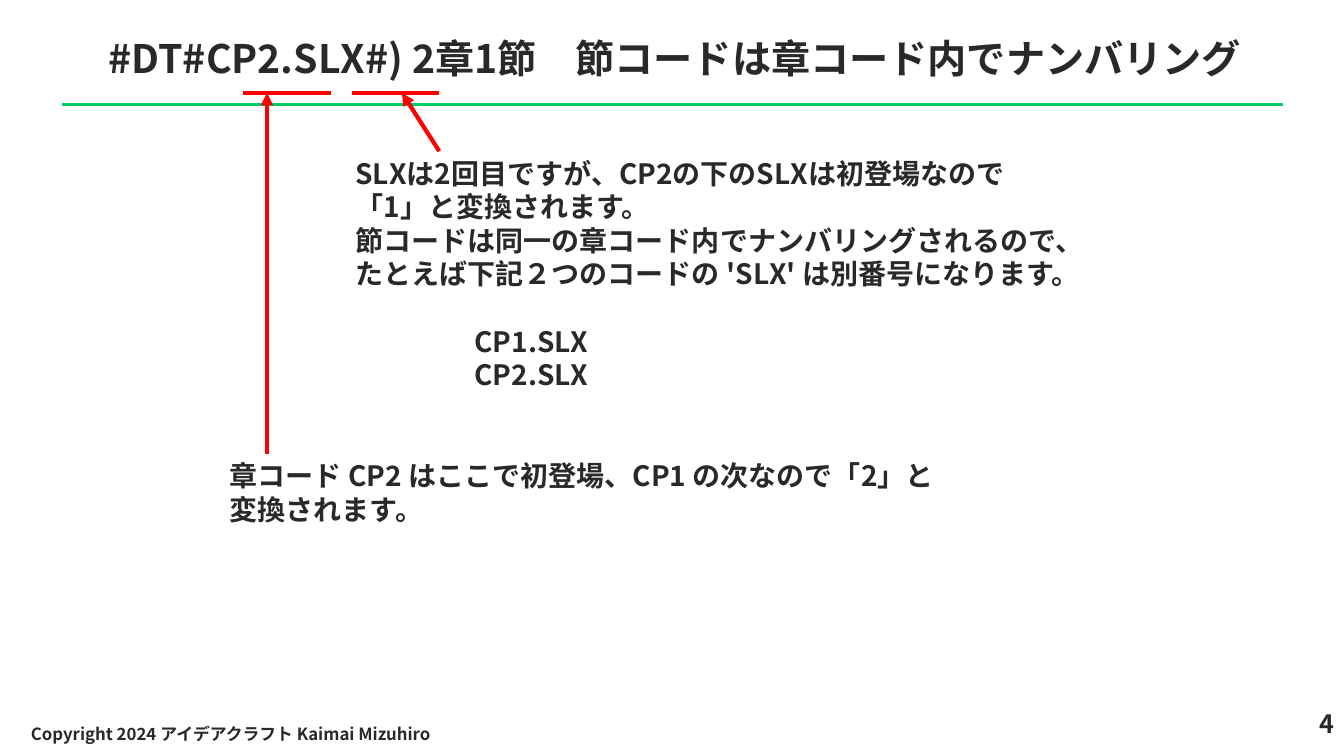
import pptx
import pptx.util
import pptx.dml.color
import pptx.enum.shapes
import pptx.enum.text
import pptx.oxml.ns
from lxml import etree

Cm, Pt = pptx.util.Cm, pptx.util.Pt
qn = pptx.oxml.ns.qn
ALIGN = pptx.enum.text.PP_ALIGN
ANCHOR = pptx.enum.text.MSO_ANCHOR

FONT = "Noto Sans CJK JP"
INK, GREEN, RED = "292929", "00CC66", "FF0000"
SLIDE_W, SLIDE_H = 33.87, 19.05
CODE_INDENT = 3


def color(value):
    return pptx.dml.color.RGBColor.from_string(value)


def add_line(s, start, end, hex_color, width, arrow=False):
    line = s.shapes.add_connector(
        pptx.enum.shapes.MSO_CONNECTOR.STRAIGHT,
        Cm(start[0]), Cm(start[1]), Cm(end[0]), Cm(end[1]))
    line.line.color.rgb = color(hex_color)
    line.line.width = Pt(width)
    if arrow:
        etree.SubElement(line.line._get_or_add_ln(), qn("a:tailEnd"), type="triangle")
    etree.SubElement(line._element.spPr, qn("a:effectLst"))


def style_paragraph(p, size, align):
    p.alignment = align
    p.line_spacing = Pt(size * 1.2)
    p.font.size = Pt(size)
    p.font.bold = True
    p.font.color.rgb = color(INK)
    p.font.name = FONT
    defaults = p._p.get_or_add_pPr().find(qn("a:defRPr"))
    etree.SubElement(defaults, qn("a:ea"), typeface=FONT)


def add_text(s, box, lines, size, align=ALIGN.LEFT, anchor=ANCHOR.TOP):
    """Add a text box with one paragraph per line and return its paragraphs."""
    tf = s.shapes.add_textbox(*map(Cm, box)).text_frame
    tf.word_wrap = True
    tf.vertical_anchor = anchor
    tf.text = "\n".join(lines)
    for p in tf.paragraphs:
        style_paragraph(p, size, align)
    return tf.paragraphs


def add_header(s, x, y, w, h):
    """Title with a green rule along the bottom of the box."""
    add_line(s, (x, y + h), (x + w, y + h), GREEN, 2.25)
    add_text(s, (x + 0.94, y, 30.43, 1.8),
             ["#DT#CP2.SLX#) 2章1節　節コードは章コード内でナンバリング"], 28)


def add_callout(s, x, y, w, h, lines, bar_x, bar_y, tail_x, tip_x):
    """Note whose arrow points up to a bar under part of the title."""
    add_line(s, (bar_x, bar_y), (bar_x + 2.21, bar_y), RED, 3)
    add_line(s, (tail_x, y), (tip_x, bar_y), RED, 3, arrow=True)
    return add_text(s, (x, y, w, h), lines, 20)


def add_notes(s, x, y, w, bar_y):
    """Chapter note and section note, with example codes in the latter."""
    add_callout(
        s, x, y + 7.62, w, 1.96,
        ["章コード CP2 はここで初登場、CP1 の次なので「2」と変換されます。"],
        bar_x=x + 0.58, bar_y=bar_y, tail_x=x + 1.19, tip_x=x + 1.19)
    paragraphs = add_callout(
        s, x + 3.17, y, w, 6.25,
        ["SLXは2回目ですが、CP2の下のSLXは初登場なので「1」と変換されます。",
         "節コードは同一の章コード内でナンバリングされるので、"
         "たとえば下記２つのコードの 'SLX' は別番号になります。",
         "CP1.SLX",
         "CP2.SLX"],
        bar_x=x + 3.32, bar_y=bar_y, tail_x=x + 5.53, tip_x=x + 4.59)
    codes = paragraphs[2:]
    for p in codes:
        p._p.get_or_add_pPr().set("marL", str(Cm(CODE_INDENT)))
    codes[0].space_before = Pt(24)


def add_footer(s, x, y, w, h):
    add_text(s, (x + w - 4.16, y, 4.16, h), ["4"], 18, align=ALIGN.RIGHT)
    add_text(s, (x, y + 0.25, 15.39, 1.02),
             ["Copyright 2024 アイデアクラフト Kaimai Mizuhiro"], 12,
             anchor=ANCHOR.MIDDLE)


def main():
    prs = pptx.Presentation()
    prs.slide_width, prs.slide_height = Cm(SLIDE_W), Cm(SLIDE_H)
    s = prs.slides.add_slide(prs.slide_layouts[6])
    add_header(s, 1.55, 0.74, 30.78, 1.9)
    add_notes(s, 5.54, 3.81, 18.39, bar_y=2.34)
    add_footer(s, 0.53, 17.73, SLIDE_W - 0.53, 1.27)
    prs.save("out.pptx")


if __name__ == "__main__":
    main()
